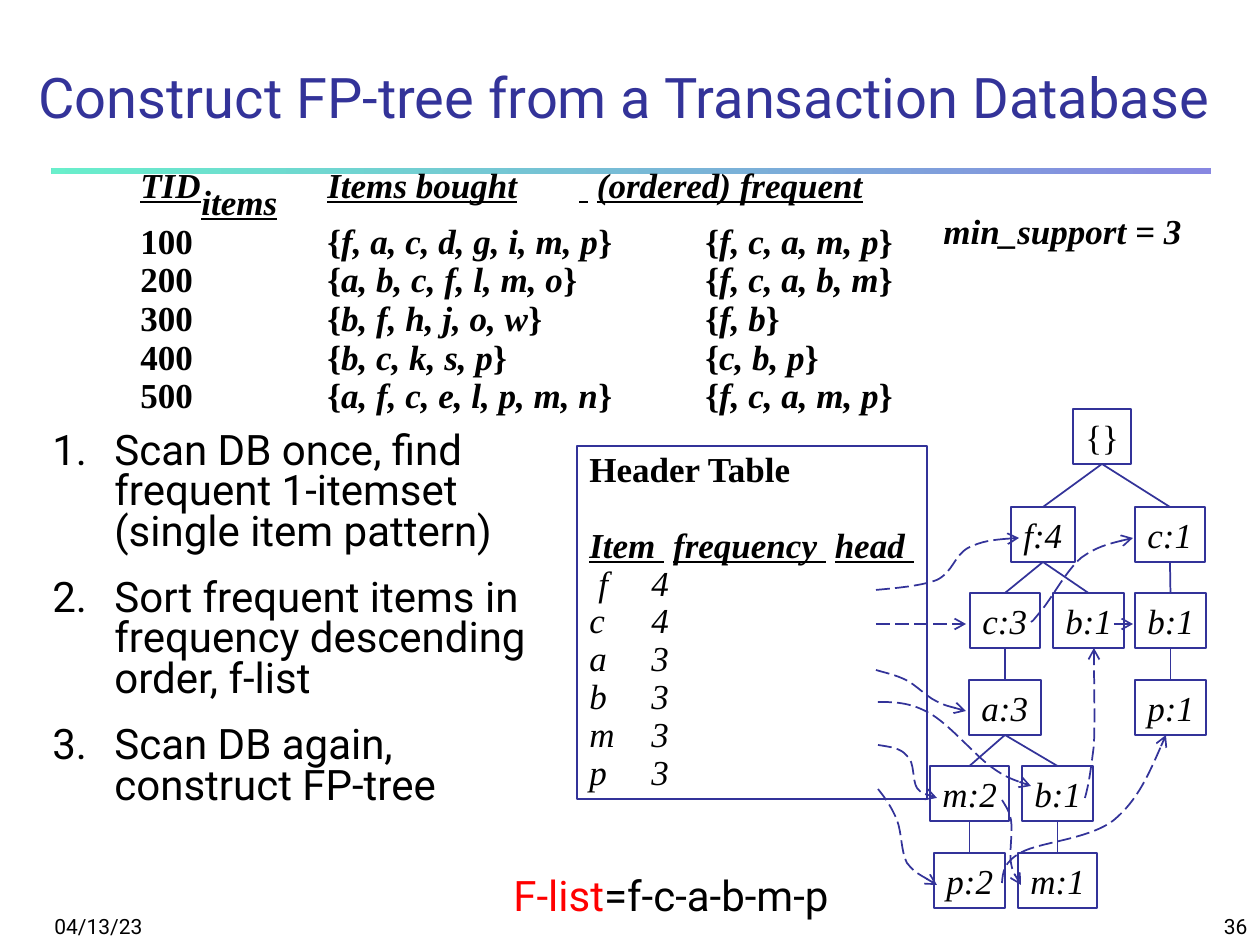
from dataclasses import dataclass

from lxml.etree import SubElement
from pptx import Presentation
from pptx.dml.color import RGBColor
from pptx.enum.dml import MSO_LINE
from pptx.enum.shapes import MSO_CONNECTOR, MSO_SHAPE
from pptx.enum.text import MSO_ANCHOR, MSO_AUTO_SIZE, PP_ALIGN
from pptx.oxml.ns import qn
from pptx.util import Pt

PX = 914400 / 126


def emu(px):
    return round(px * PX)


@dataclass(frozen=True)
class Theme:
    ink: str = "000000"
    navy: str = "333399"
    red: str = "FF0000"
    bar_right: str = "3333CC"
    bar_left: str = "00E4A8"
    sans: str = "Roboto"
    serif: str = "Times New Roman"
    small: int = 12
    label: int = 20
    body: int = 24
    title: int = 32


class SlideWriter:
    def __init__(self, page, theme):
        self.page, self.theme = page, theme

    def fill_text(self, box, paras, size, name, wrap=True, grow=True,
                  anchor=MSO_ANCHOR.TOP, **shared):
        """Each para is (spans, formats); each span is (text, formats)."""
        frame = box.text_frame
        formats = {"word_wrap": wrap, "vertical_anchor": anchor,
                   "auto_size": MSO_AUTO_SIZE.SHAPE_TO_FIT_TEXT if grow else MSO_AUTO_SIZE.NONE}
        for key, value in formats.items():
            setattr(frame, key, value)
        for index, (spans, own) in enumerate(paras):
            para = frame.add_paragraph() if index else frame.paragraphs[0]
            look = {"alignment": PP_ALIGN.LEFT, **shared, **own}
            if index == 0:
                look.pop("space_before", None)
            self.set_layout(para, look.pop("left", 0), look.pop("indent", 0),
                            look.pop("tab", 62), look.pop("numbered", False))
            for key, value in look.items():
                setattr(para, key, value)
            for text, style in spans:
                self.add_span(para, text, {"size": Pt(size), "name": name, **style})

    def set_layout(self, para, left, indent, tab, numbered):
        """Indents, tab distance and numbering of one paragraph."""
        properties = para._p.get_or_add_pPr()
        for key, value in {"marL": left, "indent": indent, "defTabSz": tab}.items():
            properties.set(key, str(emu(value)))
        if numbered:
            SubElement(properties, qn("a:buFont"), typeface="+mj-lt")
            SubElement(properties, qn("a:buAutoNum"), type="arabicPeriod")

    def add_span(self, para, text, style):
        style = dict(style)
        span = para.add_run()
        span.text = text
        span.font.color.rgb = RGBColor.from_string(style.pop("color", self.theme.ink))
        spacing = style.pop("spacing", None)
        if spacing:
            span._r.get_or_add_rPr().set("spc", str(spacing * 100))
        for key, value in style.items():
            setattr(span.font, key, value)

    def text(self, place, paras, size, name, **formats):
        box = self.page.shapes.add_textbox(*map(emu, place))
        self.fill_text(box, paras, size, name, **formats)

    def outlined(self, place, paras, **formats):
        box = self.page.shapes.add_shape(MSO_SHAPE.RECTANGLE, *map(emu, place))
        box.fill.background()
        self.draw_line(box)
        box.shadow.inherit = False
        box.text_frame.margin_right = 0
        self.fill_text(box, paras, self.theme.label, self.theme.serif, **formats)
        return box

    def gradient_bar(self, place):
        bar = self.page.shapes.add_shape(MSO_SHAPE.RECTANGLE, *map(emu, place))
        bar.shadow.inherit = False
        bar.line.fill.background()
        bar.fill.gradient()
        bar.fill.gradient_angle = 180
        for stop, color in zip(bar.fill.gradient_stops, (self.theme.bar_right, self.theme.bar_left)):
            stop.color.rgb = RGBColor.from_string(color)
        for color in bar._element.spPr.iter(qn("a:srgbClr")):
            SubElement(color, qn("a:alpha"), val="59000")

    def draw_line(self, shape, arrow=False):
        shape.line.color.rgb = RGBColor.from_string(self.theme.navy)
        shape.line.width = Pt(1)
        if arrow:
            shape.line.dash_style = MSO_LINE.LONG_DASH
            SubElement(shape.line._get_or_add_ln(), qn("a:tailEnd"), type="arrow")

    def straight(self, start, end, arrow=False):
        link = self.page.shapes.add_connector(MSO_CONNECTOR.STRAIGHT, *map(emu, start + end))
        self.draw_line(link, arrow)
        SubElement(link._element.spPr, qn("a:effectLst"))
        return link

    def branch(self, parent, child):
        link = self.straight((0, 0), (0, 0))
        link.begin_connect(parent, 2)
        link.end_connect(child, 0)

    def curve(self, points):
        """Dashed arrow: a start point, then three Bézier points per segment."""
        points = [(emu(x), emu(y)) for x, y in points]
        builder = self.page.shapes.build_freeform(*points[0])
        builder.add_line_segments(points[1:], close=False)
        shape = builder.convert_to_shape()
        outline = next(shape._element.iter(qn("a:path")))
        steps = outline.findall(qn("a:lnTo"))
        for first in range(0, len(steps), 3):
            bezier = SubElement(outline, qn("a:cubicBezTo"))
            for step in steps[first:first + 3]:
                bezier.append(step[0])
                outline.remove(step)
        shape.fill.background()
        self.draw_line(shape, arrow=True)
        shape.shadow.inherit = False


LEVELS = (409, 507, 593, 680, 766, 853)
# key: (label, left, level, width, parent)
NODES = {
    "root": ("{}", 1073, 0, 58, None),
    "f": ("f:4", 1011, 1, 64, "root"),
    "c right": ("c:1", 1135, 1, 70, "root"),
    "b right": ("b:1", 1135, 2, 71, "c right"),
    "p right": ("p:1", 1135, 3, 71, "b right"),
    "b middle": ("b:1", 1053, 2, 71, "f"),
    "c": ("c:3", 970, 2, 70, "f"),
    "a": ("a:3", 969, 3, 72, "c"),
    "b": ("b:1", 1022, 4, 71, "a"),
    "m": ("m:2", 930, 4, 79, "a"),
    "p": ("p:2", 934, 5, 71, "m"),
    "m right": ("m:1", 1018, 5, 79, "b"),
}
CURVES = (
    ((876, 590), (898, 588), (921, 586), (937, 580), (953, 572), (954, 556), (968, 548),
     (982, 541), (1000, 539), (1019, 538)),
    ((1031, 622), (1032, 622), (1032, 622), (1041, 611), (1050, 601), (1066, 571), (1081, 558),
     (1096, 547), (1115, 542), (1133, 538)),
    ((876, 670), (886, 673), (896, 675), (906, 680), (916, 685), (926, 696), (936, 701),
     (946, 706), (956, 708), (966, 711)),
    ((878, 702), (893, 702), (910, 702), (929, 713), (948, 723), (973, 753), (990, 766),
     (1005, 777), (1019, 782), (1031, 786)),
    ((1085, 798), (1089, 784), (1091, 769), (1094, 745), (1095, 719), (1094, 684), (1094, 648)),
    ((878, 745), (890, 747), (901, 748), (907, 756), (915, 762), (912, 780), (917, 788),
     (922, 794), (930, 796), (937, 798)),
    ((1002, 800), (1005, 805), (1009, 810), (1011, 820), (1013, 832), (1009, 853), (1011, 863),
     (1013, 873), (1017, 879), (1021, 885)),
    ((878, 789), (886, 799), (892, 808), (897, 820), (902, 833), (901, 852), (907, 863),
     (915, 873), (926, 878), (937, 885)),
    ((1002, 883), (1003, 873), (1003, 862), (1022, 852), (1041, 842), (1090, 839), (1114, 820),
     (1138, 800), (1152, 767), (1166, 735)),
)
# TID, items bought, tabs to the next column, ordered frequent items
TRANSACTIONS = (
    ("100", "f, a, c, d, g, i, m, p", 1, "f, c, a, m, p"),
    ("200", "a, b, c, f, l, m, o", 2, "f, c, a, b, m"),
    ("300", "b, f, h, j, o, w", 2, "f, b"),
    ("400", "b, c, k, s, p", 2, "c, b, p"),
    ("500", "a, f, c, e, l, p, m, n", 1, "f, c, a, m, p"),
)
STEPS = ("Scan DB once, find frequent 1-itemset (single item pattern)",
         "Sort frequent items in frequency descending order, f-list",
         "Scan DB again, construct FP-tree")
FREQUENCIES = (("f", 4), ("c", 4), ("a", 3), ("b", 3), ("m", 3), ("p", 3))


def main():
    deck = Presentation()
    deck.slide_width, deck.slide_height = emu(1260), emu(945)
    theme = Theme()
    writer = SlideWriter(deck.slides.add_slide(deck.slide_layouts[6]), theme)
    bold, italic = {"bold": True}, {"italic": True}
    strong = {**bold, **italic}
    heading = {**strong, "underline": True}
    wide_space = (" ", {**heading, "spacing": 5})

    writer.gradient_bar((52, 168, 1159, 6))
    for place, words, size, color, align in (
            ((42, 892, 262, 53), "04/13/23", theme.small, theme.ink, PP_ALIGN.LEFT),
            ((998, 892, 262, 53), "36", theme.small, theme.ink, PP_ALIGN.RIGHT),
            ((21, 42, 1207, 94), "Construct FP-tree from a Transaction Database",
             theme.title, theme.navy, PP_ALIGN.CENTER)):
        writer.text(place, [([(words, {"color": color})], {})], size, theme.sans,
                    grow=False, anchor=MSO_ANCHOR.BOTTOM, alignment=align)

    boxes = {}
    for key, (label, left, level, width, parent) in NODES.items():
        style = italic if parent else {}
        boxes[key] = writer.outlined((left, LEVELS[level], width, 55),
                                     [([(label, style)], {})], grow=False)
        if parent:
            writer.branch(boxes[parent], boxes[key])

    columns = [("Item", heading), wide_space, ("frequency", heading), wide_space, ("head ", heading)]
    rows = [([("Header Table", bold)], {}), (columns, {"space_before": Pt(21.7)})]
    rows += [([(f"{item}\t{count}", italic)], {"indent": 9 if item == "f" else 0})
             for item, count in FREQUENCIES]
    writer.outlined((577, 446, 350, 353), rows, line_spacing=0.9)
    for points in CURVES:
        writer.curve(points)
    for start, end in (((876, 624), (966, 624)), ((1114, 624), (1133, 624))):
        writer.straight(start, end, arrow=True)

    writer.text((931, 218, 289, 38), [([("min_support = 3", strong)], {})],
                theme.label, theme.serif, line_spacing=0.6)
    columns = [("TID\t\tItems bought\t", heading), wide_space, ("(ordered) frequent items", heading)]
    table = [(columns, {})]
    table += [([(f"{tid}\t\t{{", bold), (bought, strong), ("}" + "\t" * tabs + "{", bold),
                (ordered, strong), ("}", bold)], {}) for tid, bought, tabs, ordered in TRANSACTIONS]
    writer.text((126, 179, 820, 241), table, theme.label, theme.serif, tab=126,
                left=63, indent=-61, line_spacing=0.4, space_before=Pt(12.5))
    writer.text((40, 427, 525, 388), [([(step, {})], {}) for step in STEPS], theme.body, theme.sans,
                left=62, indent=-62, numbered=True, line_spacing=0.8, space_before=Pt(15))
    writer.text((501, 863, 358, 63), [([("F-list", {"color": theme.red}), ("=f-c-a-b-m-p", {})], {})],
                theme.body, theme.sans, wrap=False)
    deck.save("out.pptx")


if __name__ == "__main__":
    main()
